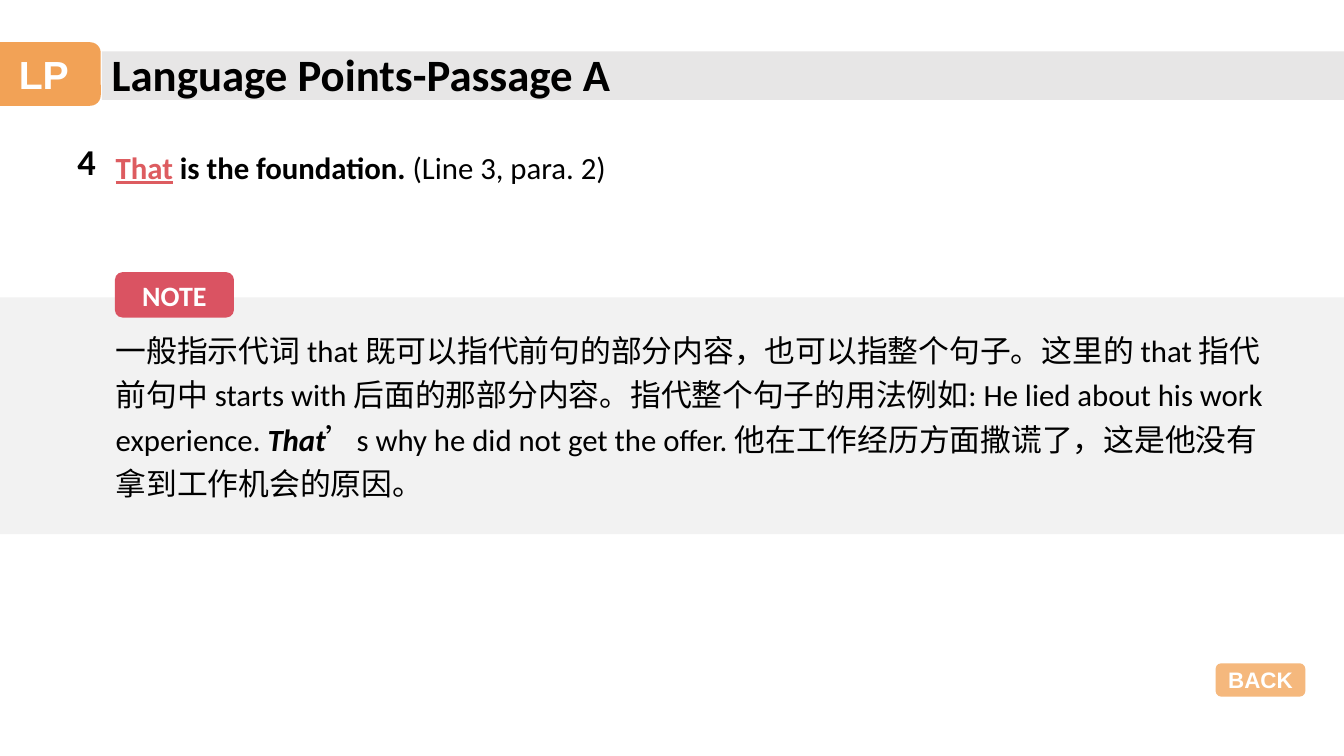
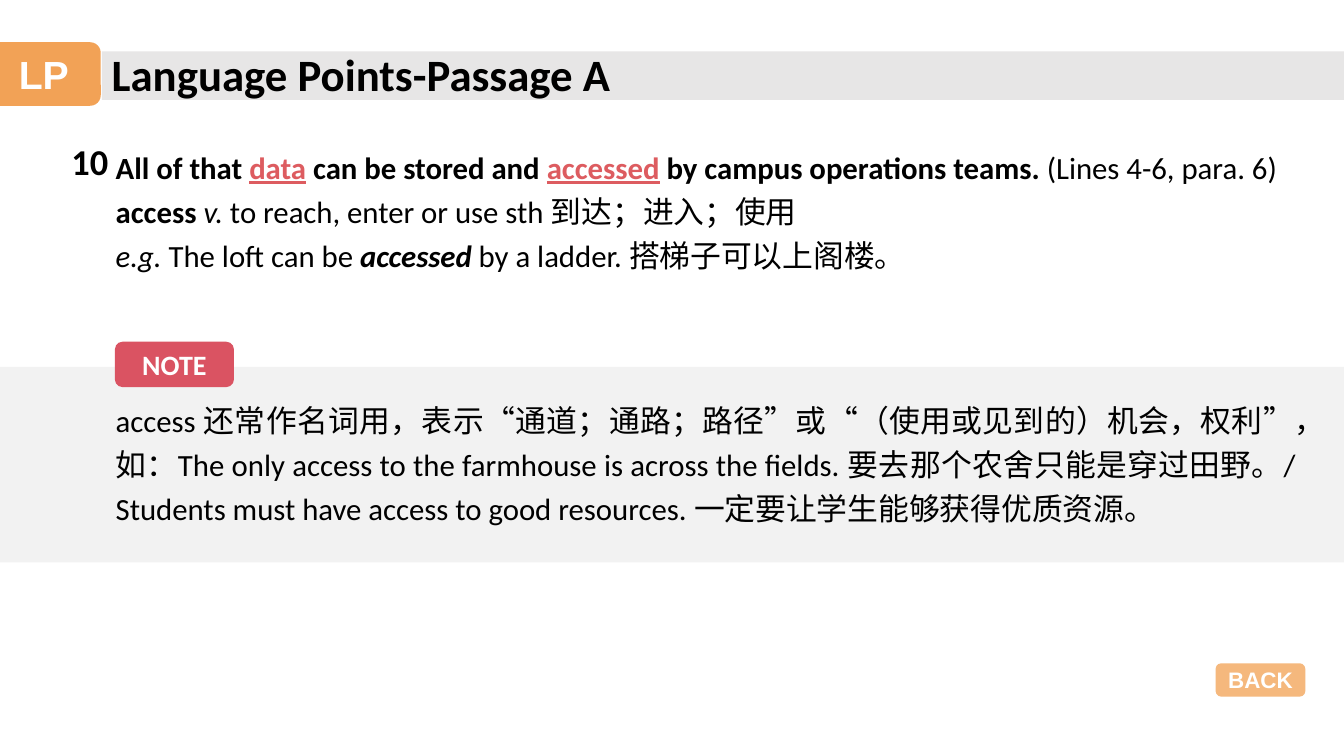
import pptx
import pptx.dml.color
import pptx.enum.shapes
import pptx.enum.text
import pptx.oxml.ns
import pptx.util
from lxml import etree

Pt = pptx.util.Pt
RGB = pptx.dml.color.RGBColor
KIND = pptx.enum.shapes.MSO_SHAPE
ALIGN = pptx.enum.text.PP_ALIGN
ANCHOR = pptx.enum.text.MSO_ANCHOR
qn = pptx.oxml.ns.qn

BLACK = RGB(0x00, 0x00, 0x00)
WHITE = RGB(0xFF, 0xFF, 0xFF)
ORANGE = RGB(0xF1, 0x9B, 0x48)
ROSE = RGB(0xDA, 0x53, 0x62)
CORAL = RGB(0xDD, 0x5C, 0x60)
BAND = RGB(0xE7, 0xE6, 0xE6)
PANEL = RGB(0xF2, 0xF2, 0xF2)

WIDTH, HEIGHT = 960, 540
LEFT = 75.6   # left edge of the text boxes
INSET = 7.2   # default inner margin of a text box

PLAIN = {}
BOLD = {"bold": True}
SLANT = {"italic": True}
STRONG = {"bold": True, "italic": True}
KEY = {"bold": True, "line": True, "color": CORAL}


def write(par, text, size=22, font="Calibri", color=BLACK,
          bold=False, italic=False, line=False):
    run = par.add_run()
    run.text = text
    face = run.font
    face.size, face.name = Pt(size), font
    face.bold, face.italic, face.underline = bold, italic, line
    face.color.rgb = color


class Deck:
    def __init__(self):
        self.file = pptx.Presentation()
        self.file.slide_width = Pt(WIDTH)
        self.file.slide_height = Pt(HEIGHT)
        self.slide = None

    def page(self, title):
        """Start a slide with its title band, tab and back button."""
        self.slide = self.file.slides.add_slide(self.file.slide_layouts[6])
        self.block(72.7, 36.7, WIDTH - 72.7, 34.6, BAND)
        self.tag("LP", -9.4, 30.2, 81.4, 45.4, ORANGE, alpha=92,
                 size=28, font="Arial")
        self.text([[(title, {"size": 32, **BOLD})]], 72.7, 29.5, 386, 46)
        self.tag("BACK", 868.3, 473.8, 64.1, 23.8, ORANGE, alpha=71,
                 size=16, font="Arial")

    def block(self, x, y, w, h, color, kind=KIND.RECTANGLE, alpha=100):
        shape = self.slide.shapes.add_shape(kind, Pt(x), Pt(y), Pt(w), Pt(h))
        shape.shadow.inherit = False
        shape.fill.solid()
        shape.fill.fore_color.rgb = color
        shape.line.fill.background()
        if alpha < 100:
            tint = shape.element.spPr.find(".//" + qn("a:srgbClr"))
            etree.SubElement(tint, qn("a:alpha")).set("val", str(alpha * 1000))
        return shape

    def tag(self, text, x, y, w, h, color, alpha=100, **style):
        """Rounded label with centred bold white text."""
        shape = self.block(x, y, w, h, color, KIND.ROUNDED_RECTANGLE, alpha)
        frame = shape.text_frame
        frame.vertical_anchor = ANCHOR.MIDDLE
        par = frame.paragraphs[0]
        par.alignment = ALIGN.CENTER
        write(par, text, color=WHITE, bold=True, **style)

    def text(self, pars, x, y, w, h, align=ALIGN.LEFT, space=1.0):
        """Text box; each paragraph is a list of (text, format) pairs."""
        box = self.slide.shapes.add_textbox(Pt(x), Pt(y), Pt(w), Pt(h))
        frame = box.text_frame
        frame.word_wrap = True
        for i, runs in enumerate(pars):
            par = frame.add_paragraph() if i else frame.paragraphs[0]
            par.alignment, par.line_spacing = align, space
            for words, style in runs:
                write(par, words, **style)

    def point(self, num, x, w, pars, h):
        """Numbered sentence with its explanation."""
        self.text([[(num, {"size": 26, **BOLD})]], x, 95.8, w, 38.9)
        self.text(pars, LEFT, 97.2, 847.4, h, ALIGN.JUSTIFY, 1.2)

    def note(self, runs, y, h, w, align):
        """Full-width grey panel with a tag on its top edge."""
        self.block(0, y, WIDTH, h, PANEL)
        self.text([runs], LEFT, y + 15.8, w, h - 37, align, 1.2)
        self.tag("NOTE", LEFT + INSET - 0.7, y - 18, 85, 32.4, ROSE, size=20)


def main():
    deck = Deck()
    title = "Language Points-Passage A"

    deck.page(title)
    deck.point("4", 48.2, 33.8, [
        [("That", KEY), (" is the foundation. ", BOLD),
         ("(Line 3, para. 2)", PLAIN)],
    ], 37.4)
    deck.note([
        ("一般指示代词 that 既可以指代前句的部分内容，也可以指整个句子。"
         "这里的 that 指代前句中 starts with 后面的那部分内容。"
         "指代整个句子的用法例如: He lied about his work experience. ", PLAIN),
        ("That", STRONG),
        ("’s why he did not get the offer. "
         "他在工作经历方面撒谎了，这是他没有拿到工作机会的原因。", PLAIN),
    ], 212.4, 169.2, 847.4, ALIGN.LEFT)

    deck.page(title)
    deck.point("10", 43.9, 45.4, [
        [("All of that ", BOLD), ("data", KEY),
         (" can be stored and ", BOLD), ("accessed", KEY),
         (" by campus operations teams. ", BOLD),
         ("(Lines 4-6, para. 6)", PLAIN)],
        [("access ", BOLD), ("v.", SLANT),
         (" to reach, enter or use sth 到达；进入；使用", PLAIN)],
        [("e.g.", SLANT), (" The loft can be ", PLAIN),
         ("accessed", STRONG),
         (" by a ladder. 搭梯子可以上阁楼。", PLAIN)],
    ], 100.8)
    deck.note([
        ("access 还常作名词用，表示“通道；通路；路径”或“（使用或见到的）"
         "机会，权利”，如：The only access to the farmhouse is across "
         "the fields. 要去那个农舍只能是穿过田野。/ Students must have "
         "access to good resources. 一定要让学生能够获得优质资源。", PLAIN),
    ], 262.1, 139.7, 856.8, ALIGN.JUSTIFY)

    deck.file.save("out.pptx")


if __name__ == "__main__":
    main()
